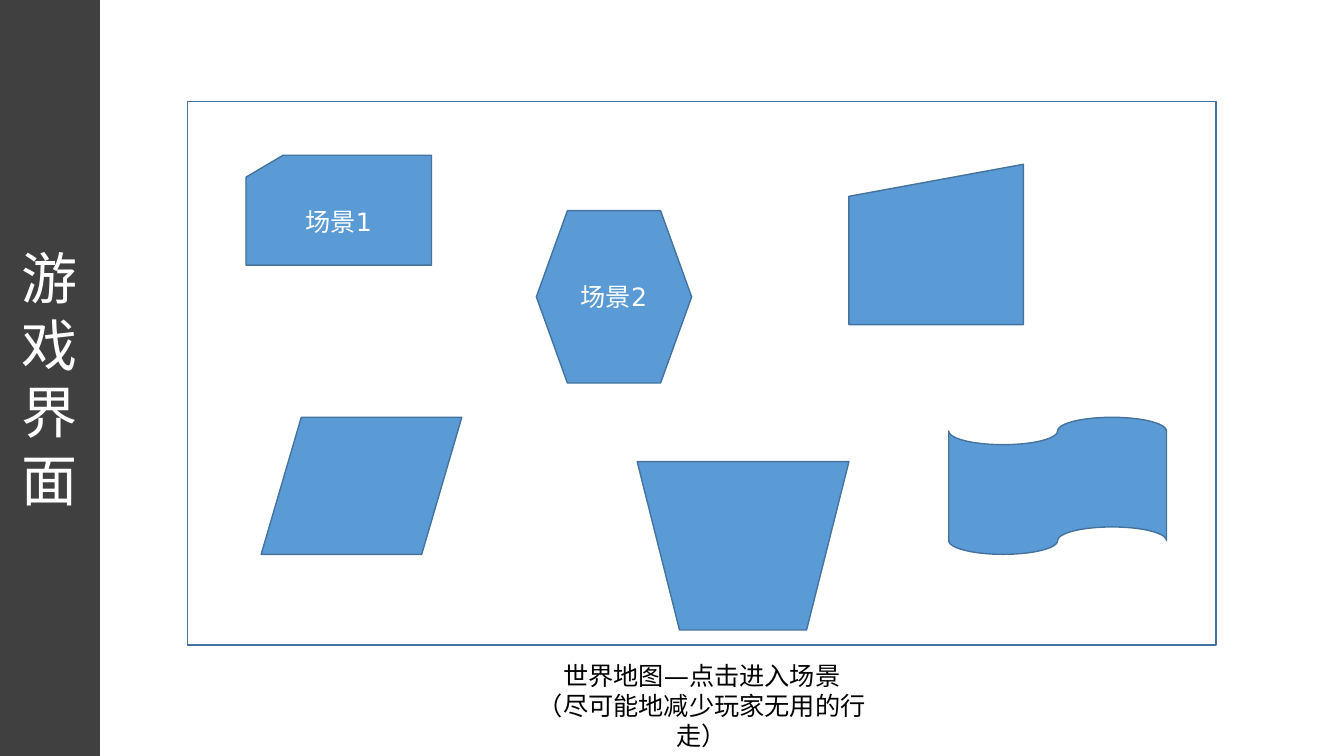
import pptx
import pptx.util
import pptx.dml.color
import pptx.enum.shapes
import pptx.enum.text
import lxml.etree
from dataclasses import dataclass

Inches = pptx.util.Inches
Kind = pptx.enum.shapes.MSO_SHAPE

TITLE = "游戏界面"
TITLE_BOX = (0, 0, 0.99, 7.5)
MAP_BOX = (1.86, 1.01, 10.2, 5.39)
SCENES = [
    (Kind.FLOWCHART_CARD, (2.44, 1.54, 1.84, 1.09), "场景1"),
    (Kind.FLOWCHART_PREPARATION, (5.32, 2.09, 1.54, 1.71), "场景2"),
    (Kind.FLOWCHART_MANUAL_INPUT, (8.42, 1.63, 1.73, 1.59), ""),
    (Kind.FLOWCHART_DATA, (2.59, 4.14, 1.99, 1.36), ""),
    (Kind.FLOWCHART_MANUAL_OPERATION, (6.32, 4.58, 2.1, 1.67), ""),
    (Kind.FLOWCHART_PUNCHED_TAPE, (9.41, 4.14, 2.16, 1.36), ""),
]
CAPTION = ["世界地图—点击进入场景", "（尽可能地减少玩家无用的行走）"]
CAPTION_BOX = (5.04, 6.5, 3.84, 0.71)


@dataclass(frozen=True)
class Theme:
    font: str = "DejaVu Sans"
    bar: str = "404040"
    scene: str = "5B9BD5"
    edge: str = "43739E"
    white: str = "FFFFFF"
    black: str = "000000"
    head: int = 40
    body: int = 18
    line: int = 1


THEME = Theme()


def paint(part, color):
    part.solid()
    part.fore_color.rgb = pptx.dml.color.RGBColor.from_string(color)


def write(shape, lines, size=THEME.body, color=THEME.white,
          anchor=pptx.enum.text.MSO_ANCHOR.MIDDLE):
    frame = shape.text_frame
    frame.word_wrap = True
    frame.auto_size = pptx.enum.text.MSO_AUTO_SIZE.NONE
    frame.vertical_anchor = anchor
    frame.text = "\n".join(lines)
    for para in frame.paragraphs:
        para.alignment = pptx.enum.text.PP_ALIGN.CENTER
        for run in para.runs:
            font = run.font
            font.name = THEME.font
            font.size = pptx.util.Pt(size)
            paint(font.fill, color)
            # East Asian text takes its typeface from a separate element.
            tag = pptx.oxml.ns.qn("a:ea")
            lxml.etree.SubElement(font._element, tag, typeface=THEME.font)


def draw(slide, kind, box, fill):
    shape = slide.shapes.add_shape(kind, *map(Inches, box))
    shape.shadow.inherit = False
    paint(shape.fill, fill)
    paint(shape.line.fill, THEME.edge)
    shape.line.width = pptx.util.Pt(THEME.line)
    return shape


def main():
    deck = pptx.Presentation()
    deck.slide_width, deck.slide_height = Inches(13.33), Inches(7.5)
    slide = deck.slides.add_slide(deck.slide_layouts.get_by_name("Title Only"))

    title = slide.shapes.title
    title.left, title.top, title.width, title.height = map(Inches, TITLE_BOX)
    paint(title.fill, THEME.bar)
    write(title, [TITLE], size=THEME.head)

    draw(slide, Kind.RECTANGLE, MAP_BOX, THEME.white)
    for kind, box, label in SCENES:
        scene = draw(slide, kind, box, THEME.scene)
        if label:
            write(scene, [label])

    caption = slide.shapes.add_textbox(*map(Inches, CAPTION_BOX))
    write(caption, CAPTION, color=THEME.black,
          anchor=pptx.enum.text.MSO_ANCHOR.TOP)
    deck.save("out.pptx")


if __name__ == "__main__":
    main()
